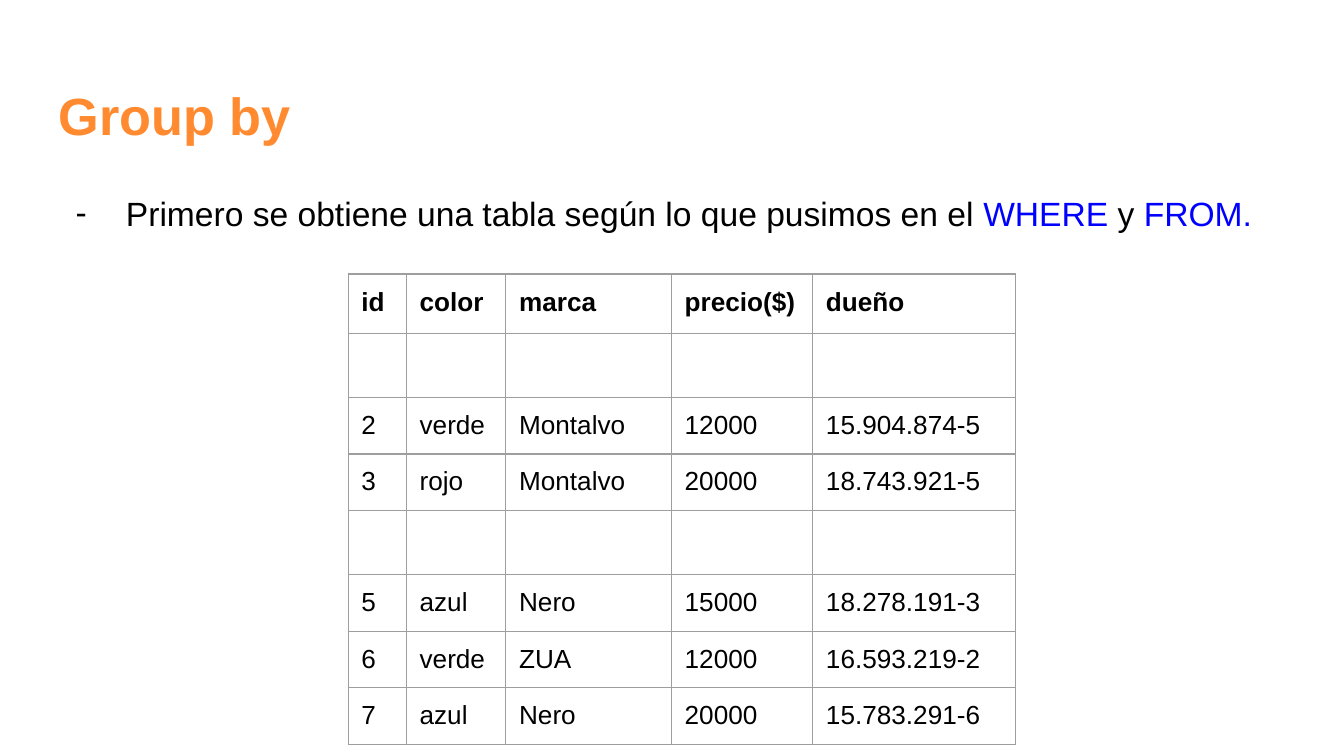
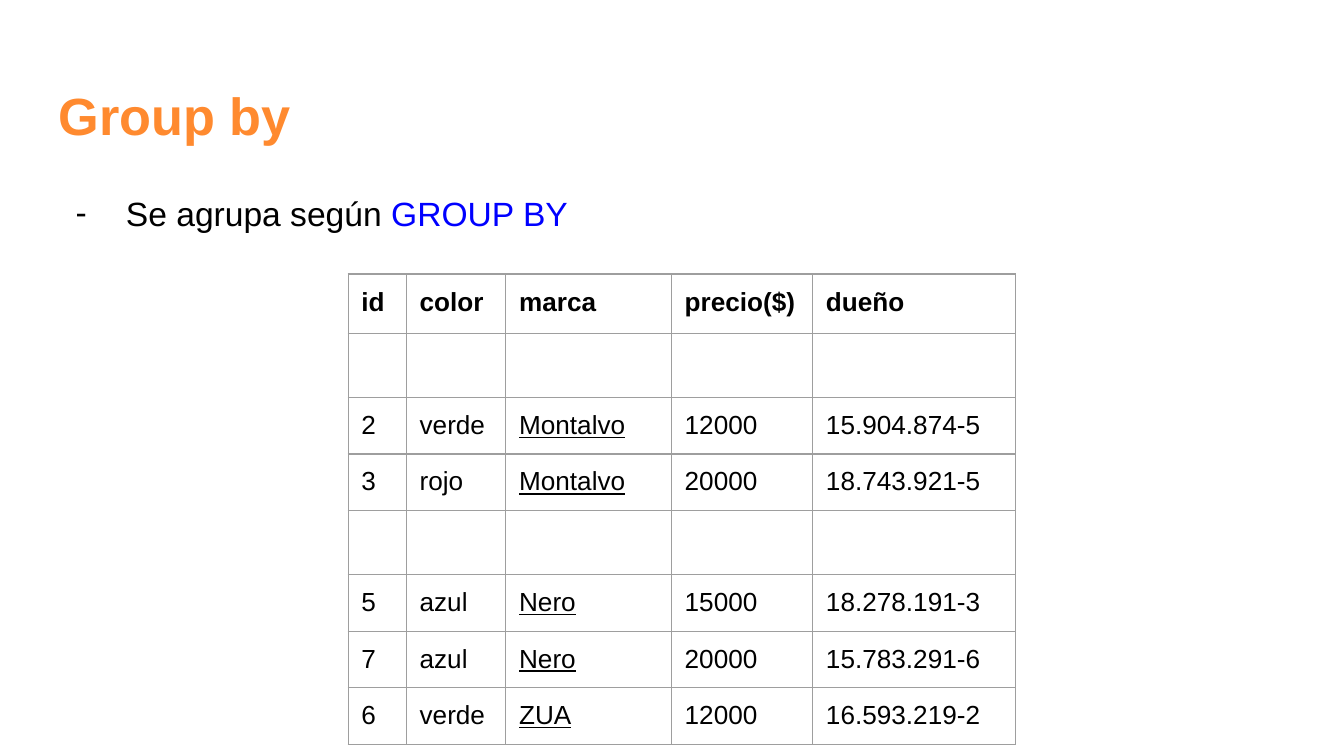
import dataclasses

import lxml.etree
import pptx
import pptx.dml.color
import pptx.enum.text
import pptx.oxml.ns
import pptx.util

Cm = pptx.util.Cm
Pt = pptx.util.Pt
qn = pptx.oxml.ns.qn


@dataclasses.dataclass(frozen=True)
class Theme:
    font: str = "Arial"
    title: str = "FF8A2F"
    text: str = "000000"
    keyword: str = "0000FF"
    border: str = "9E9E9E"
    title_size: int = 28
    body_size: int = 18
    table_size: int = 14
    border_width: float = 0.75


class Deck:
    margin_left = Cm(0.86)
    content_width = Cm(23.67)
    inset = Cm(0.25)
    text_drop = Cm(0.33)
    table_left = Cm(6.58)
    table_top = Cm(5.18)
    column_widths = [Cm(width) for width in (1.1, 1.88, 3.13, 2.67, 3.83)]
    header_height = Cm(1.12)
    row_height = Cm(1.07)
    gap_height = Cm(1.21)

    def __init__(self, theme):
        self.theme = theme
        self.presentation = pptx.Presentation()
        self.presentation.slide_width = Cm(25.4)
        self.presentation.slide_height = Cm(14.29)
        self.slide = None

    def add_slide(self):
        layout = self.presentation.slide_layouts[1]
        self.slide = self.presentation.slides.add_slide(layout)

    def add_run(self, paragraph, text, size, color, bold=False, underline=False):
        run = paragraph.add_run()
        run.text = text
        font = run.font
        font.name = self.theme.font
        font.size = Pt(size)
        font.bold = bold
        font.underline = underline
        font.color.rgb = pptx.dml.color.RGBColor.from_string(color)

    def add_color(self, parent, color):
        lxml.etree.SubElement(parent, qn("a:srgbClr"), val=color)

    def place(self, shape, top, height):
        shape.left, shape.top = self.margin_left, top
        shape.width, shape.height = self.content_width, height
        frame = shape.text_frame
        frame.word_wrap = True
        frame.auto_size = pptx.enum.text.MSO_AUTO_SIZE.NONE
        frame.vertical_anchor = pptx.enum.text.MSO_ANCHOR.TOP
        frame.margin_left = frame.margin_right = self.inset
        frame.margin_top, frame.margin_bottom = self.text_drop, 0
        paragraph = frame.paragraphs[0]
        paragraph.alignment = pptx.enum.text.PP_ALIGN.LEFT
        paragraph.space_before = Pt(0)
        return paragraph

    def title(self, text):
        paragraph = self.place(self.slide.shapes.title, Cm(1.24), Cm(1.6))
        self.add_run(paragraph, text, self.theme.title_size, self.theme.title, bold=True)

    def bullet(self, runs):
        paragraph = self.place(self.slide.placeholders[1], Cm(3.2), Cm(2.18))
        paragraph.line_spacing = 1.15
        properties = paragraph._p.get_or_add_pPr()
        properties.set("marL", str(Cm(1.27)))
        properties.set("indent", str(Cm(-0.95)))
        self.add_color(lxml.etree.SubElement(properties, qn("a:buClr")), self.theme.text)
        lxml.etree.SubElement(properties, qn("a:buChar"), char="-")
        for text, is_keyword in runs:
            color = self.theme.keyword if is_keyword else self.theme.text
            self.add_run(paragraph, text, self.theme.body_size, color)

    def style_cell(self, cell):
        cell.margin_left = cell.margin_right = self.inset
        cell.margin_top = cell.margin_bottom = self.inset
        properties = cell._tc.get_or_add_tcPr()
        for side in ("a:lnL", "a:lnR", "a:lnT", "a:lnB"):
            width = str(Pt(self.theme.border_width))
            line = lxml.etree.SubElement(properties, qn(side), w=width)
            self.add_color(lxml.etree.SubElement(line, qn("a:solidFill")), self.theme.border)
        cell.fill.background()

    def table(self, rows, underlined_column=None):
        heights = [self.row_height if any(row) else self.gap_height for row in rows]
        heights[0] = self.header_height
        shape = self.slide.shapes.add_table(
            len(rows), len(self.column_widths), self.table_left, self.table_top,
            sum(self.column_widths), sum(heights))
        table = shape.table
        table.first_row = table.horz_banding = False
        for column, width in zip(table.columns, self.column_widths):
            column.width = width
        for row_index, values in enumerate(rows):
            table.rows[row_index].height = heights[row_index]
            for column_index, value in enumerate(values):
                cell = table.cell(row_index, column_index)
                self.style_cell(cell)
                paragraph = cell.text_frame.paragraphs[0]
                is_header = row_index == 0
                if value:
                    self.add_run(
                        paragraph, value, self.theme.table_size, self.theme.text,
                        bold=is_header,
                        underline=not is_header and column_index == underlined_column)
                else:
                    ending = paragraph._p.get_or_add_endParaRPr()
                    ending.set("sz", str(self.theme.table_size * 100))


HEADER = ("id", "color", "marca", "precio($)", "dueño")
GAP = ("",) * len(HEADER)
CARS = {
    2: ("2", "verde", "Montalvo", "12000", "15.904.874-5"),
    3: ("3", "rojo", "Montalvo", "20000", "18.743.921-5"),
    5: ("5", "azul", "Nero", "15000", "18.278.191-3"),
    6: ("6", "verde", "ZUA", "12000", "16.593.219-2"),
    7: ("7", "azul", "Nero", "20000", "15.783.291-6"),
}

STEPS = [
    ([("Primero se obtiene una tabla según lo que pusimos en el ", False),
      ("WHERE", True), (" y ", False), ("FROM.", True)],
     (5, 6, 7), None),
    ([("Se agrupa según ", False), ("GROUP BY", True)],
     (5, 7, 6), HEADER.index("marca")),
]


def main():
    deck = Deck(Theme())
    for runs, last_cars, underlined_column in STEPS:
        deck.add_slide()
        deck.title("Group by")
        deck.bullet(runs)
        rows = [HEADER, GAP, CARS[2], CARS[3], GAP]
        rows += [CARS[number] for number in last_cars]
        deck.table(rows, underlined_column)
    deck.presentation.save("out.pptx")


if __name__ == "__main__":
    main()
